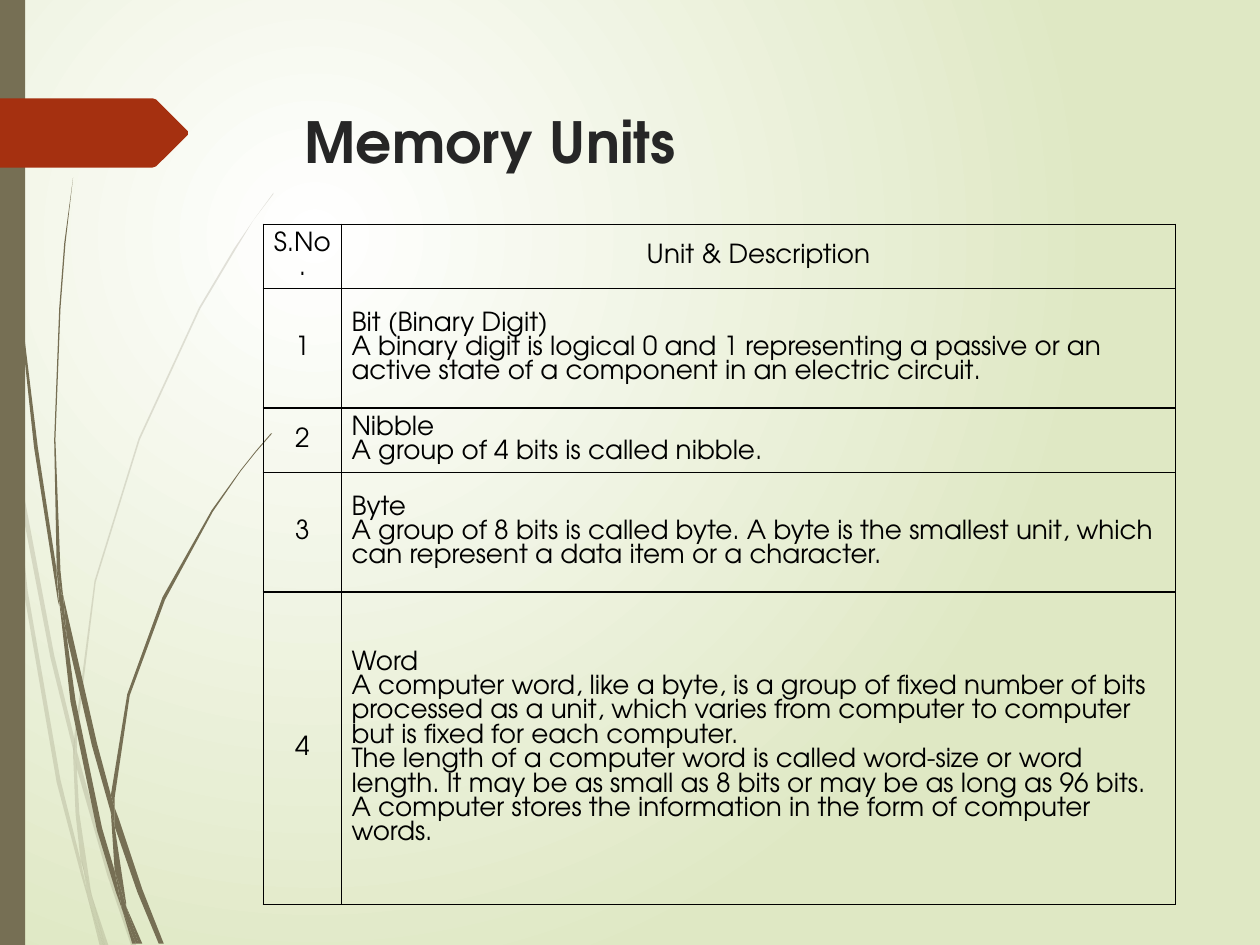
from dataclasses import dataclass

from lxml import etree
from pptx import Presentation
from pptx.dml.color import RGBColor
from pptx.enum.dml import MSO_THEME_COLOR
from pptx.enum.shapes import MSO_SHAPE
from pptx.enum.text import MSO_ANCHOR, MSO_AUTO_SIZE, PP_ALIGN
from pptx.oxml import parse_xml
from pptx.oxml.ns import nsdecls, qn
from pptx.util import Pt

PX = 9144
WIDE, HIGH = 1000, 750
FONT = "TeX Gyre Adventor"
WHITE = RGBColor(0xFF, 0xFF, 0xFF)
GREEN = RGBColor(0xDF, 0xE8, 0xC4)
OLIVE = RGBColor(0x76, 0x6F, 0x54)
RED = RGBColor(0xA5, 0x30, 0x10)
DARK = RGBColor(0x26, 0x26, 0x26)
BLACK = RGBColor(0, 0, 0)
RECT = MSO_SHAPE.RECTANGLE
MIDDLE = MSO_ANCHOR.MIDDLE
LEFT, CENTER = PP_ALIGN.LEFT, PP_ALIGN.CENTER
NO_FIT = MSO_AUTO_SIZE.NONE

Point = tuple[int, int]


@dataclass(frozen=True)
class Wisp:
    points: list[Point]
    color: RGBColor = OLIVE
    alpha: int = 100


@dataclass(frozen=True)
class Row:
    high: int
    label: str
    lines: list[str]
    align: PP_ALIGN = LEFT


PALE = [
    [(8, 350), (6, 322), (0, 282), (0, 299), (7, 344)],
    [(40, 522), (59, 599), (59, 586), (43, 520), (10, 345), (12, 376)],
    [(64, 607), (61, 596), (61, 610), (85, 694), (104, 750), (108, 750), (88, 692)],
    [(83, 750), (86, 750), (73, 711)],
    [(64, 683), (48, 619), (22, 469), (12, 376), (8, 350), (19, 470), (45, 621),
     (64, 693), (70, 714), (69, 707)],
    [(58, 599), (60, 646), (64, 683), (67, 692), (73, 711), (72, 706), (63, 646),
     (61, 610), (61, 608)],
    [(61, 584), (76, 462), (111, 349), (159, 245), (187, 198), (201, 175), (217, 154),
     (217, 153), (201, 175), (186, 197), (158, 244), (110, 348), (75, 461), (59, 584),
     (59, 586), (61, 596)],
    [(70, 714), (79, 750), (82, 750)],
    [(61, 608), (61, 610), (61, 596), (59, 586), (58, 599)],
    [(67, 692), (65, 683), (69, 707), (70, 714), (82, 750), (83, 750), (73, 711)],
]
DEEP = [
    [(5, 110), (14, 233), (27, 355), (46, 477), (47, 481), (45, 457), (45, 453),
     (30, 355), (15, 232), (6, 109), (4, 48), (3, 0), (2, 0), (3, 48)],
    [(73, 592), (88, 645), (88, 633), (88, 631), (77, 590), (50, 472), (53, 505)],
    [(94, 649), (91, 641), (91, 656), (109, 708), (126, 749), (130, 749), (113, 706)],
    [(91, 691), (81, 657), (60, 556), (53, 505), (47, 477), (56, 557), (77, 659),
     (92, 708), (97, 722), (96, 717)],
    [(50, 472), (48, 453), (44, 349), (48, 245), (52, 193), (58, 141), (51, 193),
     (47, 245), (43, 349), (45, 449), (49, 472)],
    [(110, 749), (113, 749), (100, 719)],
    [(47, 477), (53, 505), (50, 472), (49, 472), (45, 449), (45, 453)],
    [(91, 633), (103, 552), (131, 476), (169, 406), (191, 374), (203, 359), (216, 344),
     (215, 344), (203, 358), (191, 373), (168, 405), (129, 474), (101, 551), (88, 631),
     (91, 641)],
    [(97, 722), (105, 749), (108, 749)],
    [(88, 645), (91, 691), (96, 706), (100, 719), (100, 716), (91, 656), (90, 651)],
    [(88, 645), (90, 651), (91, 656), (91, 641), (88, 631), (88, 633)],
    [(96, 706), (91, 691), (96, 717), (97, 722), (108, 749), (110, 749), (100, 719)],
]
ARROW = [(149, 107), (124, 132), (121, 133), (0, 133), (0, 78), (121, 78), (124, 79),
         (149, 104)]
COLS = (62, 662)
ROWS = [
    Row(51, "S.No.", ["Unit & Description"], CENTER),
    Row(95, "1", [
        "Bit (Binary Digit)",
        "A binary digit is logical 0 and 1 representing a passive or an active state "
        "of a component in an electric circuit."]),
    Row(51, "2", ["Nibble", "A group of 4 bits is called nibble."]),
    Row(95, "3", [
        "Byte",
        "A group of 8 bits is called byte. A byte is the smallest unit, which can "
        "represent a data item or a character."]),
    Row(248, "4", [
        "Word",
        "A computer word, like a byte, is a group of fixed number of bits processed as "
        "a unit, which varies from computer to computer but is fixed for each computer.",
        "The length of a computer word is called word-size or word length. It may be as "
        "small as 8 bits or may be as long as 96 bits. A computer stores the information "
        "in the form of computer words."]),
]


def paint_back(slide) -> None:
    fill = slide.background.fill
    fill.gradient()
    for stop, color, place in zip(fill.gradient_stops, (WHITE, GREEN), (0, 1)):
        stop.color.theme_color = MSO_THEME_COLOR.ACCENT_1
        stop.color.rgb = color
        stop.position = place
    grad = slide.background._cSld.find(".//" + qn("a:gradFill"))
    for line in grad.findall(qn("a:lin")):
        grad.remove(line)
    path = etree.SubElement(grad, qn("a:path"), path="circle")
    etree.SubElement(path, qn("a:fillToRect"), l="50000", t="50000", r="100000", b="100000")


def paint(shape, color: RGBColor, alpha: int = 100) -> None:
    shape.shadow.inherit = False
    shape.fill.solid()
    shape.fill.fore_color.rgb = color
    shape.line.fill.background()
    if alpha < 100:
        tone = shape._element.spPr.find(qn("a:solidFill"))[0]
        etree.SubElement(tone, qn("a:alpha"), val=str(alpha * 1000))


def draw_wisp(slide, wisp: Wisp) -> None:
    pen = slide.shapes.build_freeform(*wisp.points[0], scale=PX)
    pen.add_line_segments(wisp.points[1:], close=True)
    paint(pen.convert_to_shape(), wisp.color, wisp.alpha)


def add_run(para, text: str, size: float, color: RGBColor, bold: bool = False) -> None:
    run = para.add_run()
    run.text = text
    run.font.name = FONT
    run.font.size = Pt(size)
    run.font.bold = bold
    run.font.color.rgb = color


def draw_title(slide) -> None:
    title = slide.shapes.title
    title.left, title.top, title.width, title.height = (n * PX for n in (232, 77, 718, 70))
    frame = title.text_frame
    frame.auto_size = NO_FIT
    frame.vertical_anchor = MIDDLE
    para = frame.paragraphs[0]
    para.alignment = LEFT
    add_run(para, "Memory Units", 32.4, DARK, True)


def fill_cell(cell, lines: list[str], align: PP_ALIGN) -> None:
    cell.fill.background()
    cell.vertical_anchor = MIDDLE
    cell.margin_left = cell.margin_right = 8 * PX
    cell.margin_top = cell.margin_bottom = 4 * PX
    props = cell._tc.get_or_add_tcPr()
    for place, side in enumerate("LRTB"):
        props.insert(place, parse_xml(
            f'<a:ln{side} {nsdecls("a")} w="12700"><a:solidFill>'
            f'<a:srgbClr val="{BLACK}"/></a:solidFill></a:ln{side}>'))
    frame = cell.text_frame
    for place, line in enumerate(lines):
        para = frame.add_paragraph() if place else frame.paragraphs[0]
        para.alignment = align
        add_run(para, line, 15, BLACK)


def draw_table(slide) -> None:
    box = (209, 178, sum(COLS), sum(row.high for row in ROWS))
    table = slide.shapes.add_table(len(ROWS), len(COLS), *(n * PX for n in box)).table
    table.first_row = table.horz_banding = False
    for col, wide in zip(table.columns, COLS):
        col.width = wide * PX
    for line, row in zip(table.rows, ROWS):
        line.height = row.high * PX
        fill_cell(line.cells[0], [row.label], CENTER)
        fill_cell(line.cells[1], row.lines, row.align)


def main() -> None:
    deck = Presentation()
    deck.slide_width, deck.slide_height = WIDE * PX, HIGH * PX
    slide = deck.slides.add_slide(deck.slide_layouts[5])
    paint_back(slide)
    for points in PALE:
        draw_wisp(slide, Wisp(points, alpha=20))
    for points in DEEP:
        draw_wisp(slide, Wisp(points))
    paint(slide.shapes.add_shape(RECT, 0, 0, 20 * PX, HIGH * PX), OLIVE)
    draw_wisp(slide, Wisp(ARROW, RED))
    draw_title(slide)
    draw_table(slide)
    deck.save("out.pptx")


if __name__ == "__main__":
    main()
